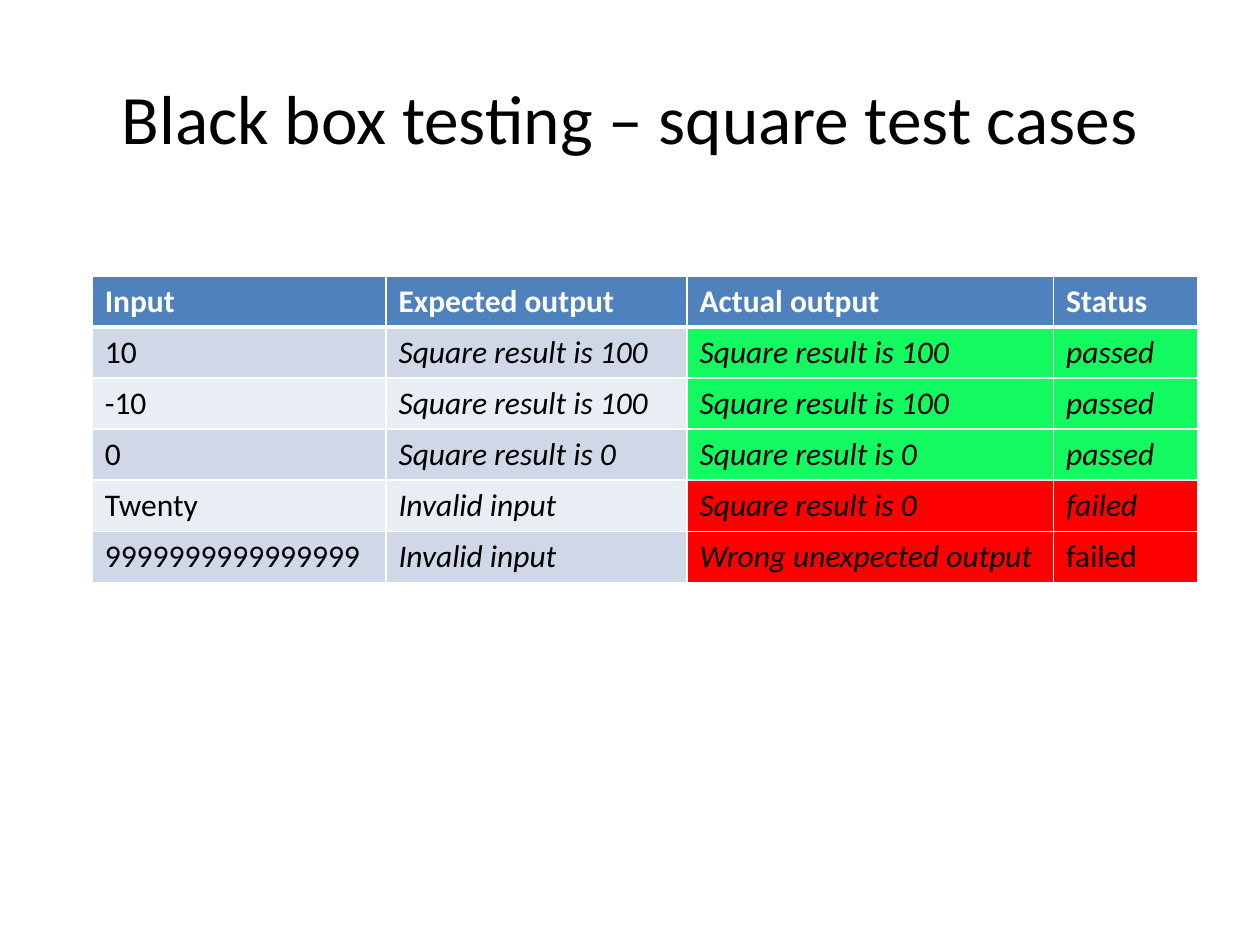
from dataclasses import dataclass

import pptx
import pptx.dml.color
import pptx.enum.text
import pptx.oxml
import pptx.oxml.ns
import pptx.util
from pptx.util import Cm


@dataclass(frozen=True)
class Theme:
    font: str = "Calibri"
    title_size: float = 39.6
    table_size: float = 18
    text: str = "000000"
    white: str = "FFFFFF"
    header: str = "4F81BD"
    bands: tuple = ("D0D8E8", "E9EDF4")
    passed: str = "12FA60"
    failed: str = "FF0000"
    thin_border: float = 1
    header_border: float = 3


THEME = Theme()
TITLE_ONLY_LAYOUT = 5
COLUMN_WIDTHS = (5.92, 6.07, 7.39, 2.9)
ROW_HEIGHT = 1.03
HEADINGS = ("Input", "Expected output", "Actual output", "Status")
TEST_CASES = (
    ("10", "Square result is 100", "Square result is 100", "passed"),
    ("-10", "Square result is 100", "Square result is 100", "passed"),
    ("0", "Square result is 0", "Square result is 0", "passed"),
    ("Twenty", "Invalid input", "Square result is 0", "failed"),
    ("9999999999999999", "Invalid input", "Wrong unexpected output", "failed"),
)


def rgb(color):
    return pptx.dml.color.RGBColor.from_string(color)


def write_text(text_frame, text, size=THEME.table_size, color=THEME.text,
               bold=False, italic=False, align=pptx.enum.text.PP_ALIGN.LEFT):
    paragraph = text_frame.paragraphs[0]
    paragraph.alignment = align
    run = paragraph.add_run()
    run.text = text
    run.font.name = THEME.font
    run.font.size = pptx.util.Pt(size)
    run.font.bold = bold
    run.font.italic = italic
    run.font.color.rgb = rgb(color)


def set_border(cell, side, width):
    """Draw one white cell edge; side is L, R, T or B."""
    line = pptx.oxml.parse_xml(
        f'<a:ln{side} {pptx.oxml.ns.nsdecls("a")} w="{pptx.util.Pt(width)}">'
        f'<a:solidFill><a:srgbClr val="{THEME.white}"/></a:solidFill>'
        f'</a:ln{side}>')
    cell._tc.get_or_add_tcPr().append(line)


def format_cell(cell, text, fill, top=THEME.thin_border,
                bottom=THEME.thin_border, **text_format):
    widths = {"L": THEME.thin_border, "R": THEME.thin_border,
              "T": top, "B": bottom}
    for side, width in widths.items():
        set_border(cell, side, width)
    cell.fill.solid()
    cell.fill.fore_color.rgb = rgb(fill)
    write_text(cell.text_frame, text, **text_format)


def add_title(slide, text):
    title = slide.shapes.title
    title.left, title.top = Cm(1.27), Cm(0.76)
    title.width, title.height = Cm(22.86), Cm(3.18)
    title.text_frame.vertical_anchor = pptx.enum.text.MSO_ANCHOR.MIDDLE
    write_text(title.text_frame, text, size=THEME.title_size,
               align=pptx.enum.text.PP_ALIGN.CENTER)


def add_test_table(slide):
    row_count = len(TEST_CASES) + 1
    table = slide.shapes.add_table(
        row_count, len(HEADINGS), Cm(1.86), Cm(5.56),
        Cm(sum(COLUMN_WIDTHS)), Cm(ROW_HEIGHT * row_count)).table
    for column, width in zip(table.columns, COLUMN_WIDTHS):
        column.width = Cm(width)
    for row in table.rows:
        row.height = Cm(ROW_HEIGHT)

    for column, heading in enumerate(HEADINGS):
        format_cell(table.cell(0, column), heading, THEME.header,
                    bottom=THEME.header_border, color=THEME.white, bold=True)

    for row, case in enumerate(TEST_CASES, start=1):
        band = THEME.bands[(row - 1) % 2]
        result = THEME.passed if case[-1] == "passed" else THEME.failed
        top = THEME.header_border if row == 1 else THEME.thin_border
        for column, text in enumerate(case):
            last_status = row == len(TEST_CASES) and column == len(case) - 1
            format_cell(table.cell(row, column), text,
                        band if column < 2 else result, top=top,
                        italic=column > 0 and not last_status)


def main():
    presentation = pptx.Presentation()
    presentation.slide_width, presentation.slide_height = Cm(25.4), Cm(19.05)
    layout = presentation.slide_layouts[TITLE_ONLY_LAYOUT]
    slide = presentation.slides.add_slide(layout)
    add_title(slide, "Black box testing – square test cases")
    add_test_table(slide)
    presentation.save("out.pptx")


if __name__ == "__main__":
    main()
